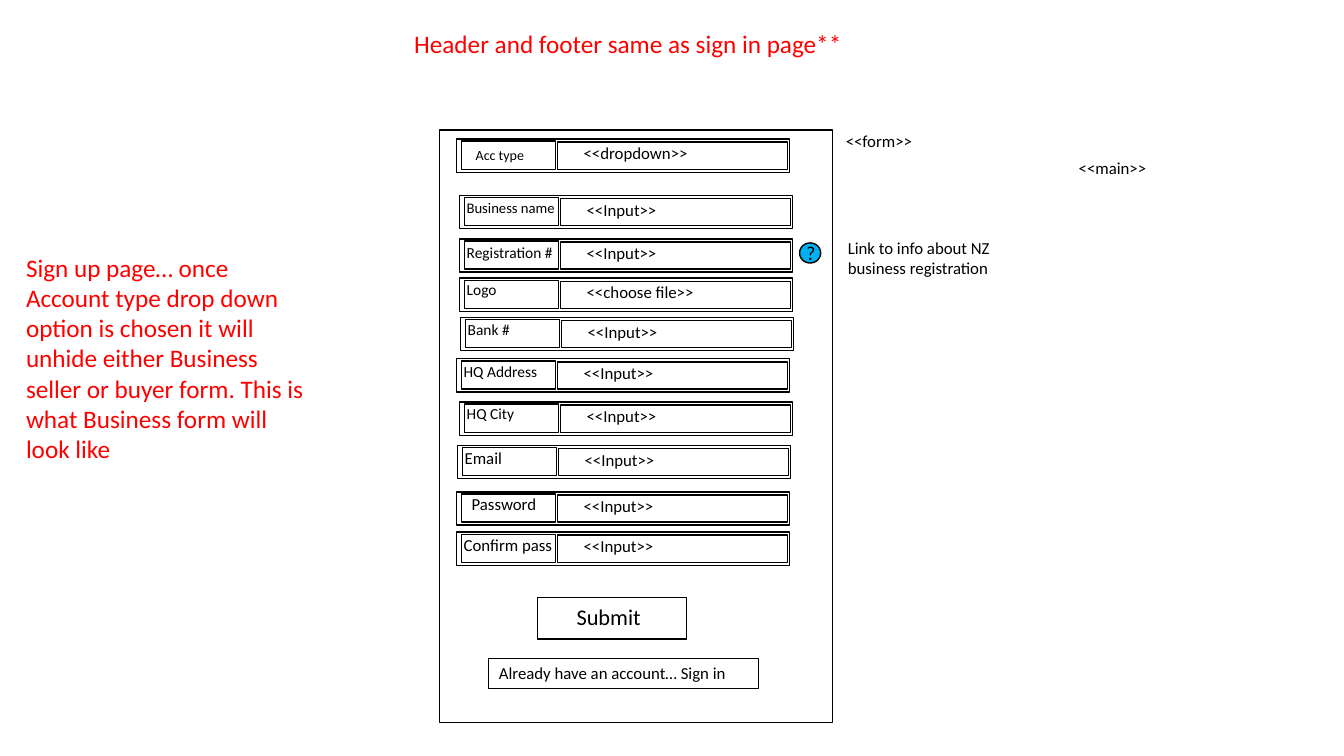
from pptx import Presentation
from pptx.dml.color import RGBColor
from pptx.enum import shapes, text
from pptx.util import Inches, Pt

BLACK = RGBColor(0x00, 0x00, 0x00)
RED = RGBColor(0xFF, 0x00, 0x00)
BLUE = RGBColor(0x00, 0xB0, 0xF0)

deck = Presentation()
deck.slide_width, deck.slide_height = Inches(13.33), Inches(7.5)
page = deck.slides.add_slide(deck.slide_layouts[6])


def add_outline(left, top, width, height, kind=shapes.MSO_SHAPE.RECTANGLE, weight=1):
    shape = page.shapes.add_shape(
        kind, Inches(left), Inches(top), Inches(width), Inches(height))
    shape.shadow.inherit = False
    shape.fill.background()
    shape.line.color.rgb = BLACK
    shape.line.width = Pt(weight)
    return shape


def add_text(words, left, top, width, height, size=12, color=BLACK):
    box = page.shapes.add_textbox(
        Inches(left), Inches(top), Inches(width), Inches(height))
    frame = box.text_frame
    frame.word_wrap = True
    frame.auto_size = text.MSO_AUTO_SIZE.SHAPE_TO_FIT_TEXT
    frame.text = words
    font = frame.paragraphs[0].font
    font.name, font.size, font.color.rgb = "Calibri", Pt(size), color


# Form frame
add_outline(4.36, 1.29, 3.9, 5.88)

# Form rows: left, top, label, label size, label offsets and width, field
rows = [
    (4.53, 1.38, "Acc type", 10, 0.09, 0.02, 0.93, "<<dropdown>>"),
    (4.56, 1.94, "Business name", 10.5, -0.03, -0.02, 1.11, "<<Input>>"),
    (4.56, 2.37, "Registration #", 11, -0.03, -0.01, 1.11, "<<Input>>"),
    (4.56, 2.76, "Logo", 11, -0.03, -0.03, 1.11, "<<choose file>>"),
    (4.57, 3.15, "Bank #", 11, -0.03, -0.02, 1.11, "<<Input>>"),
    (4.53, 3.56, "HQ Address", 11, -0.03, -0.02, 1.11, "<<Input>>"),
    (4.56, 3.99, "HQ City", 11, -0.03, -0.03, 1.11, "<<Input>>"),
    (4.54, 4.42, "Email", 12, -0.03, -0.03, 1.11, "<<Input>>"),
    (4.53, 4.88, "Password", 12, 0.05, -0.03, 0.93, "<<Input>>"),
    (4.53, 5.28, "Confirm pass", 12, -0.03, -0.02, 1.11, "<<Input>>"),
]
for left, top, label, size, shift, drop, width, field in rows:
    add_outline(left, top, 3.3, 0.33)
    add_outline(left + 0.05, top + 0.02, 0.93, 0.28)
    add_outline(left + 1, top + 0.03, 2.28, 0.27)
    add_text(label, left + shift, top + drop, width, 0.29, size)
    add_text(field, left + 1.16, top - 0.01, 2.12, 0.3)

# Buttons
add_outline(5.33, 5.93, 1.48, 0.41)
add_text("Submit", 5.62, 5.93, 1.14, 0.37, 16)
add_outline(4.85, 6.53, 2.67, 0.3, weight=0.75)
add_text("Already have an account… Sign in", 4.85, 6.53, 2.67, 0.3)

# Help icon
help_icon = add_outline(7.93, 2.41, 0.21, 0.2, shapes.MSO_SHAPE.OVAL)
help_icon.fill.solid()
help_icon.fill.fore_color.rgb = BLUE
add_text("?", 7.9, 2.34, 0.27, 0.34, 14)

# Annotations
add_text("<<form>>", 8.29, 1.25, 1.18, 0.3)
add_text("<<main>>", 10.6, 1.52, 1.59, 0.3)
add_text("Link to info about NZ business registration", 8.31, 2.31, 1.82, 0.5)
add_text("Header and footer same as sign in page**", 4.01, 0.23, 4.88, 0.4, 18, RED)
add_text("Sign up page… once Account type drop down option is chosen it will "
         "unhide either Business seller or buyer form. This is what Business "
         "form will look like", 0.16, 2.45, 2.97, 2.22, 18, RED)

deck.save("out.pptx")
